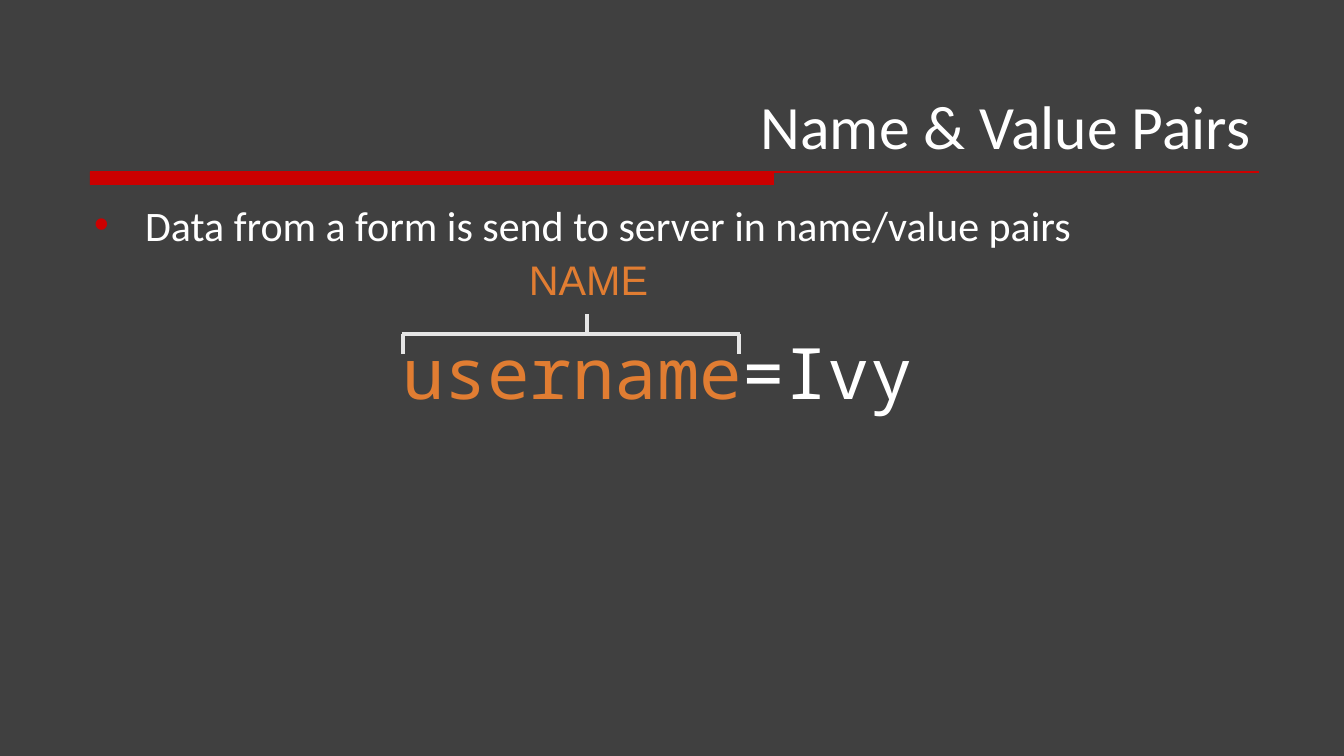
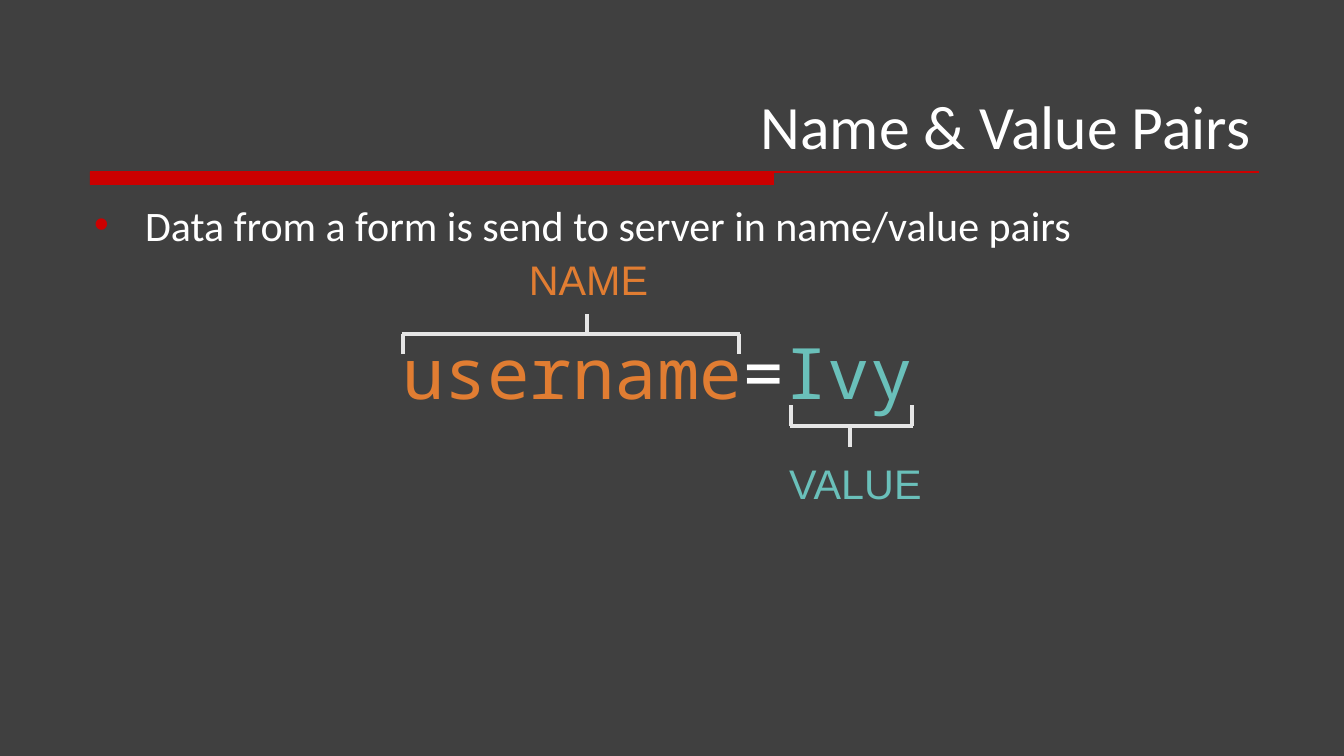
from dataclasses import dataclass
from typing import Any

from lxml import etree
from pptx import Presentation
from pptx.dml.color import RGBColor
from pptx.enum import shapes, text
from pptx.oxml import ns
from pptx.util import Emu, Pt

PX = 914400 / 100.8
DARK = RGBColor(0x40, 0x40, 0x40)
WHITE = RGBColor(0xFF, 0xFF, 0xFF)
RED = RGBColor(0xCC, 0x00, 0x00)
PALE = RGBColor(0xE6, 0xE6, 0xE6)
ORANGE = RGBColor(0xE1, 0x7D, 0x32)
TEAL = RGBColor(0x6A, 0xC0, 0xBA)

TITLE = {"name": "Calibri", "size": Pt(44)}
BODY = {"name": "Calibri", "size": Pt(30)}
CODE = {"name": "Noto Sans Mono", "size": Pt(50.6)}
LABEL = {"name": "Arial", "size": Pt(29.5)}


def px(n):
    """Turn picture pixels into EMU."""
    return Emu(round(n * PX))


def put(obj, **vals):
    """Set each given attribute on an object."""
    for key, val in vals.items():
        setattr(obj, key, val)


def add(node, tag, **attrs):
    """Append one drawing element to an XML node."""
    return etree.SubElement(node, ns.qn(tag), **attrs)


@dataclass
class Deck:
    """The shared style and the current slide."""
    prs: Any
    slide: Any = None

    def start(self):
        """Add a slide from the title and content layout."""
        self.slide = self.prs.slides.add_slide(self.prs.slide_layouts[1])

    def words(self, frame, runs, font, align):
        """Fill a frame with one paragraph of coloured runs."""
        para = frame.paragraphs[0]
        para.alignment = align
        for part, color in runs:
            run = para.add_run()
            run.text = part
            put(run.font, **font)
            run.font.color.rgb = color
        return para

    def fill(self, holder, line, font, box, align, anchor):
        """Move a placeholder and set its text."""
        put(holder, **dict(zip(("left", "top", "width", "height"), map(px, box))))
        frame = holder.text_frame
        put(frame, auto_size=text.MSO_AUTO_SIZE.NONE, vertical_anchor=anchor)
        return self.words(frame, [(line, WHITE)], font, align)

    def title(self, line):
        """Set the slide title, flush right above the band."""
        self.fill(self.slide.shapes.title, line, TITLE, (85, 33, 1176, 134),
                  text.PP_ALIGN.RIGHT, text.MSO_ANCHOR.BOTTOM)

    def bullet(self, line):
        """Set the body as one item with a red bullet."""
        para = self.fill(self.slide.placeholders[1], line, BODY,
                         (84, 194, 1176, 470),
                         text.PP_ALIGN.LEFT, text.MSO_ANCHOR.TOP)
        props = para._p.get_or_add_pPr()
        props.set("marL", str(px(51)))
        props.set("indent", str(px(-51)))
        add(add(props, "a:buClr"), "a:srgbClr", val=str(RED))
        add(props, "a:buFont", typeface="Arial")
        add(props, "a:buChar", char="•")

    def label(self, home, runs, font, box, wrap=True):
        """Add a centred text box without margins."""
        frame = home.add_textbox(*map(px, box)).text_frame
        put(frame, word_wrap=wrap, vertical_anchor=text.MSO_ANCHOR.MIDDLE,
            margin_left=0, margin_right=0, margin_top=0, margin_bottom=0)
        self.words(frame, runs, font, text.PP_ALIGN.CENTER)

    def line(self, home, ends, color, width):
        """Add a straight line without shadow."""
        line = home.add_connector(shapes.MSO_CONNECTOR.STRAIGHT, *map(px, ends))
        line.line.color.rgb = color
        line.line.width = Pt(width)
        add(line.element.spPr, "a:effectLst")
        return line

    def brace(self, left, right, y, stem, tick, name, color, box):
        """Group a bracket and its label; tick is signed towards the code."""
        home = self.slide.shapes.add_group_shape().shapes
        for ends in ((left, y, right, y),
                     (left + 1, y, left + 1, y + tick),
                     (right - 1, y, right - 1, y + tick),
                     (stem, y, stem, y - tick)):
            self.line(home, ends, PALE, 3)
        self.label(home, [(name, color)], LABEL, box)

    def band(self):
        """Draw the red band and hairline once, on the slide master."""
        home = self.slide.shapes
        bar = home.add_shape(shapes.MSO_SHAPE.RECTANGLE,
                             *map(px, (90, 172, 684, 13)))
        bar.shadow.inherit = False
        bar.fill.solid()
        bar.fill.fore_color.rgb = RED
        bar.line.fill.background()
        hair = self.line(home, (90, 172, 1259, 172), RED, 0.75)
        for part in (bar, hair):
            self.prs.slide_master.shapes.element.append(part.element)


def pairs(deck, value):
    """Build the slide; with value set, mark the value as well."""
    deck.title("Name & Value Pairs")
    deck.bullet("Data from a form is send to server in name/value pairs")
    runs = [("username", ORANGE), ("=", WHITE), ("Ivy", TEAL if value else WHITE)]
    deck.label(deck.slide.shapes, runs, CODE, (400, 328, 515, 86), wrap=False)
    deck.brace(402, 740, 334, 587, 20, "NAME", ORANGE, (355, 250, 467, 57))
    if value:
        deck.brace(790, 913, 426, 850, -21, "VALUE", TEAL, (622, 455, 467, 57))


def main():
    """Build and save the deck."""
    prs = Presentation()
    put(prs, slide_width=px(1344), slide_height=px(756))
    back = prs.slide_master.background.fill
    back.solid()
    back.fore_color.rgb = DARK
    deck = Deck(prs)
    for value in (False, True):
        deck.start()
        if not value:
            deck.band()
        pairs(deck, value)
    prs.save("out.pptx")


main()
